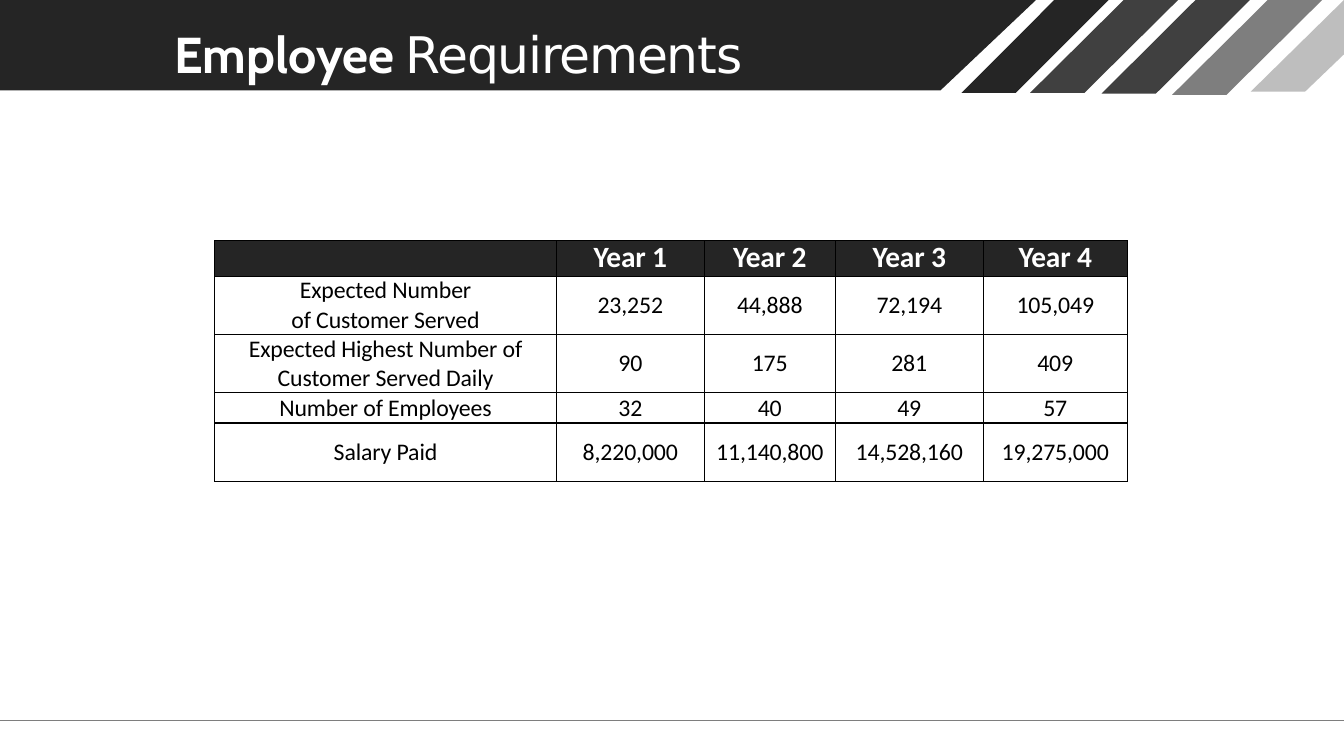
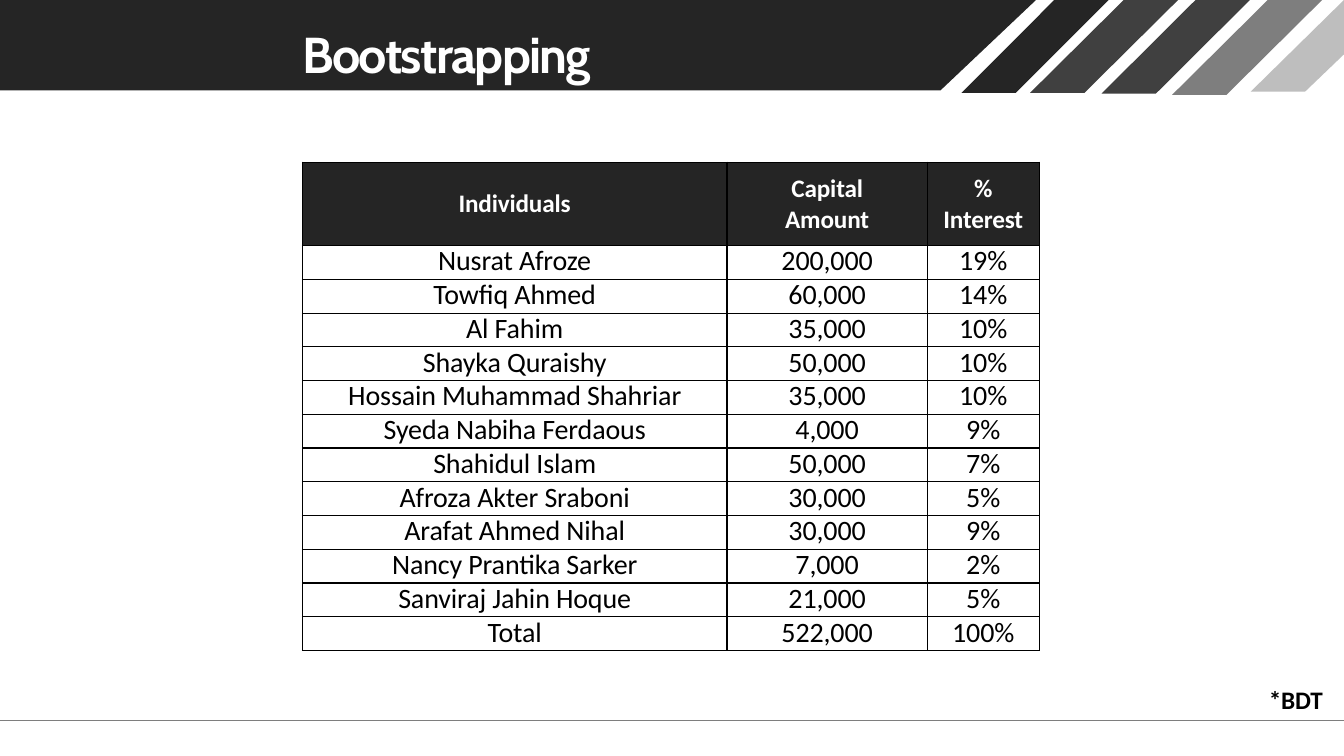
from lxml.etree import SubElement
from pptx import Presentation
from pptx.dml.color import RGBColor
from pptx.enum.shapes import MSO_CONNECTOR
from pptx.enum.text import MSO_ANCHOR as Anchor, MSO_AUTO_SIZE as AutoSize, PP_ALIGN as Align
from pptx.oxml import parse_xml
from pptx.oxml.ns import nsdecls, qn
from pptx.util import Cm, Pt

DARK, GREY, WHITE, BLACK = "252525", "7E7E7E", "FFFFFF", "000000"


def color(hex_string):
    return RGBColor.from_string(hex_string)


def add_span(para, text, size, hex_string, bold=False, font="Calibri", spacing=-0.1):
    span = para.add_run()
    span.text = text
    span.font.name, span.font.size, span.font.bold = font, Pt(size), bold
    span.font.color.rgb = color(hex_string)
    span.font._element.set("spc", str(round(spacing * 100)))


deck = Presentation()
deck.slide_width, deck.slide_height = Cm(33.87), Cm(19.05)
layout = deck.slide_layouts[5]
for holder in list(layout.placeholders):
    if holder.placeholder_format.idx != 0:
        holder.element.getparent().remove(holder.element)

# Title: left text margin in cm, then runs of text, bold, font, letter spacing
# Table: left, top, column widths, row heights, header and body (size, leading)
slides = [
    {
        "indent": 3.05,
        "title": [("Employee ", True, "Cabin", 0),
                  ("Requirements", False, "DejaVu Sans", -0.9)],
        "at": (5.41, 6.07),
        "widths": [8.61, 3.73, 3.3, 3.73, 3.63],
        "heights": [0.89, 1.47, 1.47, 0.76, 1.47],
        "header": (21, 24.1),
        "body": (17, 20.8),
        "rows": [
            ["", "Year 1", "Year 2", "Year 3", "Year 4"],
            ["Expected Number\nof Customer Served", "23,252", "44,888", "72,194", "105,049"],
            ["Expected Highest Number of\nCustomer Served Daily", "90", "175", "281", "409"],
            ["Number of Employees", "32", "40", "49", "57"],
            ["Salary Paid", "8,220,000", "11,140,800", "14,528,160", "19,275,000"],
        ],
    },
    {
        "indent": 6.27,
        "title": [("Bootstrapping", True, "Cabin", -1.2)],
        "at": (7.62, 4.09),
        "widths": [10.7, 5.05, 2.82],
        "heights": [2.1] + [0.85] * 12,
        "header": (18, 22),
        "body": (20, 22.9),
        "rows": [
            ["Individuals", "Capital Amount", "%\nInterest"],
            ["Nusrat Afroze", "200,000", "19%"],
            ["Towfiq Ahmed", "60,000", "14%"],
            ["Al Fahim", "35,000", "10%"],
            ["Shayka Quraishy", "50,000", "10%"],
            ["Hossain Muhammad Shahriar", "35,000", "10%"],
            ["Syeda Nabiha Ferdaous", "4,000", "9%"],
            ["Shahidul Islam", "50,000", "7%"],
            ["Afroza Akter Sraboni", "30,000", "5%"],
            ["Arafat Ahmed Nihal", "30,000", "9%"],
            ["Nancy Prantika Sarker", "7,000", "2%"],
            ["Sanviraj Jahin Hoque", "21,000", "5%"],
            ["Total", "522,000", "100%"],
        ],
    },
]
pages = [deck.slides.add_slide(layout) for _ in slides]

# Shared band, stripes and footer line, drawn once and moved to the layout
outlines = [(DARK, [(26.11, 0), (0, 0), (0, 2.28), (23.7, 2.28)])]
stripe = 1.37
for fill, right, foot, depth in [(DARK, 27.94, 24.23, 2.34), ("404040", 29.69, 25.96, 2.34),
                                 ("404040", 31.5, 27.76, 2.36), (GREY, 33.32, 29.54, 2.39)]:
    outlines.append((fill, [(right, 0), (right - stripe, 0),
                            (foot, depth), (foot + stripe, depth)]))
outlines.append(("BEBEBE", [(33.87, 0), (31.52, 2.31), (31.52 + stripe, 2.31), (33.87, 1.37)]))

shared = []
for fill, points in outlines:
    start, *others = [(Cm(x), Cm(y)) for x, y in points]
    builder = pages[0].shapes.build_freeform(*start)
    builder.add_line_segments(others, close=True)
    shape = builder.convert_to_shape()
    shape.shadow.inherit = False
    shape.fill.solid()
    shape.fill.fore_color.rgb = color(fill)
    shape.line.fill.background()
    shared.append(shape)

footer = pages[0].shapes.add_connector(MSO_CONNECTOR.STRAIGHT, 0, Cm(18.16), Cm(33.87), Cm(18.16))
footer.line.color.rgb = color(GREY)
footer.line.width = Pt(0.72)
SubElement(footer.element.spPr, qn("a:effectLst"))
shared.append(footer)
for shape in shared:
    layout.shapes.element.append(shape.element)

for page, content in zip(pages, slides):
    # Title
    title = page.shapes.title
    title.left, title.top, title.width, title.height = Cm(1.35), Cm(0.51), Cm(21.06), Cm(1.65)
    frame = title.text_frame
    frame.auto_size, frame.word_wrap, frame.vertical_anchor = AutoSize.NONE, True, Anchor.TOP
    frame.margin_left, frame.margin_top = Cm(content["indent"]), Cm(0.06)
    frame.margin_right = frame.margin_bottom = 0
    para = frame.paragraphs[0]
    para.alignment = Align.LEFT
    for text, bold, font, spacing in content["title"]:
        add_span(para, text, 36, WHITE, bold, font, spacing)

    # Table
    rows, widths, heights = content["rows"], content["widths"], content["heights"]
    left, top = content["at"]
    table = page.shapes.add_table(len(rows), len(widths), Cm(left), Cm(top),
                                  Cm(sum(widths)), Cm(sum(heights))).table
    table.horz_banding = False
    for column, width in zip(table.columns, widths):
        column.width = Cm(width)
    for row, height in zip(table.rows, heights):
        row.height = Cm(height)
    for row_index, row in enumerate(rows):
        is_header = row_index == 0
        size, leading = content["header" if is_header else "body"]
        for column_index, text in enumerate(row):
            cell = table.cell(row_index, column_index)
            cell.vertical_anchor = Anchor.MIDDLE
            cell.margin_top = cell.margin_bottom = 0
            # A narrow measure breaks this heading into two lines
            cell.margin_left = cell.margin_right = Cm(1.3) if text == "Capital Amount" else 0
            if is_header:
                cell.fill.solid()
                cell.fill.fore_color.rgb = color(DARK)
            else:
                cell.fill.background()
            for position, side in enumerate(("lnL", "lnR", "lnT", "lnB")):
                border = parse_xml(
                    f'<a:{side} {nsdecls("a")} w="{Pt(1)}"><a:solidFill>'
                    f'<a:srgbClr val="{BLACK}"/></a:solidFill></a:{side}>')
                cell._tc.get_or_add_tcPr().insert(position, border)
            for line_index, line in enumerate(text.split("\n")):
                frame = cell.text_frame
                para = frame.add_paragraph() if line_index else frame.paragraphs[0]
                para.alignment = Align.CENTER
                para.line_spacing = Pt(leading)
                if line:
                    add_span(para, line, size, WHITE if is_header else BLACK, is_header)

# Currency note
box = pages[1].shapes.add_textbox(Cm(31.98), Cm(17.37), Cm(1.45), Cm(0.71))
frame = box.text_frame
frame.word_wrap = False
frame.margin_left = frame.margin_top = frame.margin_right = frame.margin_bottom = 0
para = frame.paragraphs[0]
para.line_spacing = Pt(18.1)
add_span(para, "*BDT", 18, BLACK, True, spacing=-0.2)

deck.save("out.pptx")
